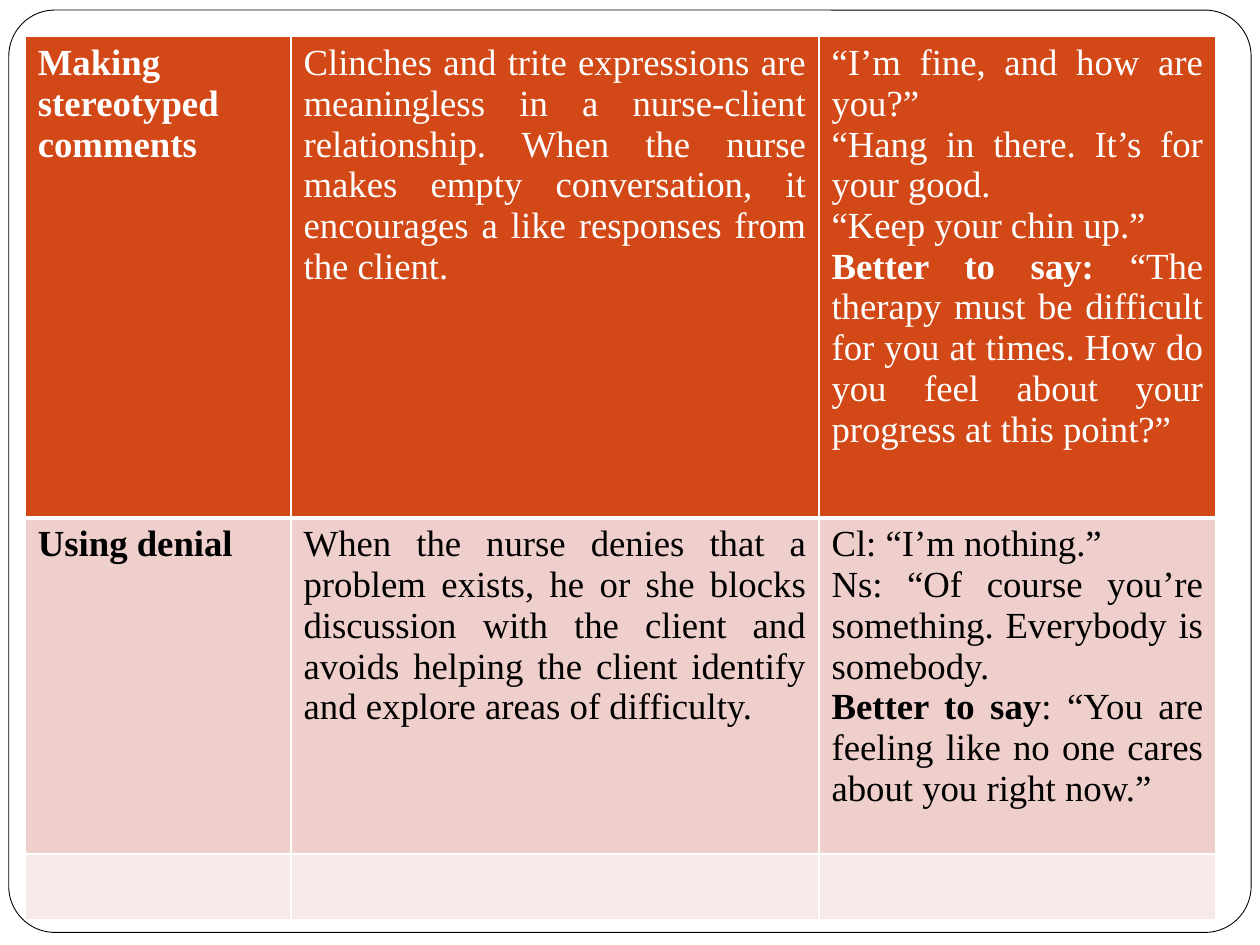
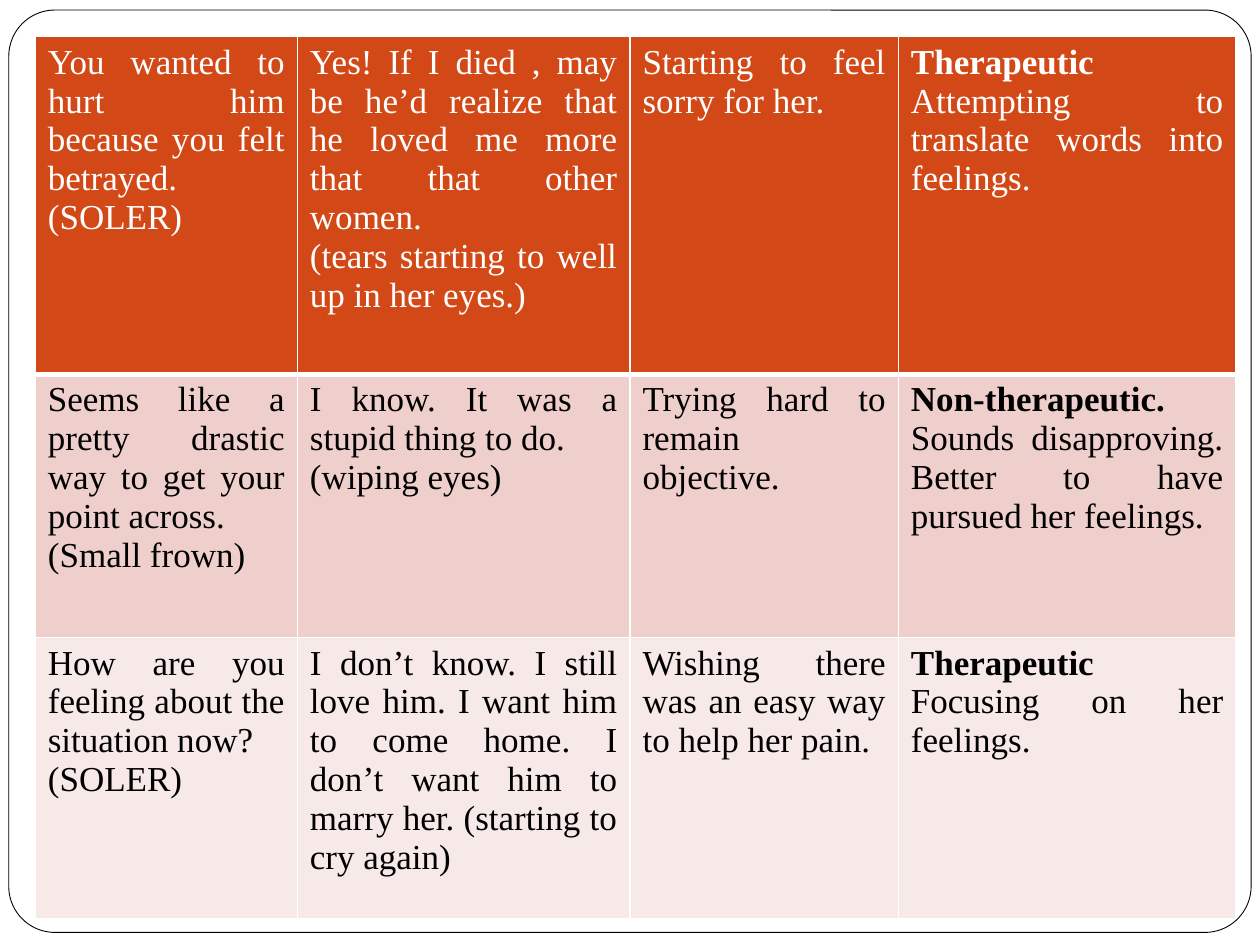
from dataclasses import dataclass

from lxml.etree import SubElement
from pptx import Presentation
from pptx.dml.color import RGBColor
from pptx.enum.shapes import MSO_SHAPE
from pptx.enum.text import PP_ALIGN
from pptx.oxml.ns import qn
from pptx.util import Inches, Pt


@dataclass(frozen=True)
class Theme:
    font: str = "Times New Roman"
    paper: str = "FFFFFF"
    ink: str = "000000"
    header_fill: str = "D34817"
    band_fills: tuple = ("EFCFCC", "F7E9E8")
    techniques_size: int = 21
    dialogue_size: int = 20
    frame_line: float = 0.5
    grid_line: int = 1
    header_line: int = 3


TABLE_TOP = 0.29
BOLD_MARK = "**"

# Each cell is text whose lines are paragraphs; ** switches bold on and off.
TECHNIQUES = [
    [
        "**Making stereotyped comments**",
        "Clinches and trite expressions are meaningless in a nurse-client relationship. "
        "When the nurse makes empty conversation, it encourages a like responses from the client.",
        "“I’m fine, and how are you?”\n"
        "“Hang in there. It’s for your good.\n"
        "“Keep your chin up.”\n"
        "**Better to say: **“The therapy must be difficult for you at times. "
        "How do you feel about your progress at this point?”",
    ],
    [
        "**Using denial**",
        "When the nurse denies that a problem exists, he or she blocks discussion with the "
        "client and avoids helping the client identify and explore areas of difficulty.",
        "Cl: “I’m nothing.”\n"
        "Ns: “Of course you’re something. Everybody is somebody.\n"
        "**Better to say**: “You are feeling like no one cares about you right now.”",
    ],
    ["", "", ""],
]

DIALOGUE = [
    [
        "You wanted to hurt him because you felt betrayed. (SOLER)",
        "Yes! If I died , may be he’d realize that he loved me more that that other women.\n"
        "(tears starting to well up in her eyes.)",
        "Starting to feel sorry for her.",
        "**Therapeutic**\nAttempting to translate words into feelings.",
    ],
    [
        "Seems like a pretty drastic way to get your point across.\n(Small frown)",
        "I know. It was a stupid thing to do.\n(wiping eyes)",
        "Trying hard to remain objective.",
        "**Non-therapeutic.**\nSounds disapproving. Better to have pursued her feelings.",
    ],
    [
        "How are you feeling about the situation now?\n(SOLER)",
        "I don’t know. I still love him. I want him to come home. "
        "I don’t want him to marry her. (starting to cry again)",
        "Wishing there was an easy way to help her pain.",
        "**Therapeutic**\nFocusing on her feelings.",
    ],
]


def write_text(text_frame, text, *, size, color, font, align=PP_ALIGN.JUSTIFY):
    for index, line in enumerate(text.split("\n")):
        paragraph = text_frame.paragraphs[0] if index == 0 else text_frame.add_paragraph()
        paragraph.alignment = align
        for part_index, part in enumerate(line.split(BOLD_MARK)):
            if not part:
                continue
            run = paragraph.add_run()
            run.text = part
            run.font.name = font
            run.font.size = Pt(size)
            run.font.bold = part_index % 2 == 1
            run.font.color.rgb = RGBColor.from_string(color)


def set_borders(cell, color, widths):
    """Draw the borders; widths are points for left, right, top and bottom."""
    properties = cell._tc.get_or_add_tcPr()
    for index, (side, width) in enumerate(zip("LRTB", widths)):
        line = SubElement(properties, qn(f"a:ln{side}"), w=str(Pt(width)))
        fill = SubElement(line, qn("a:solidFill"))
        SubElement(fill, qn("a:srgbClr"), val=color)
        properties.insert(index, line)


class Deck:
    def __init__(self, theme):
        self.theme = theme
        self.presentation = Presentation()
        self.presentation.slide_width = Inches(10)
        self.presentation.slide_height = Inches(7.5)
        self.slide = None

    def new_slide(self):
        self.slide = self.presentation.slides.add_slide(self.presentation.slide_layouts[6])
        self.add_frame()

    def add_frame(self):
        shape = self.slide.shapes.add_shape(
            MSO_SHAPE.ROUNDED_RECTANGLE, Inches(0.07), Inches(0.08), Inches(9.86), Inches(7.32)
        )
        shape.adjustments[0] = 0.05
        shape.shadow.inherit = False
        shape.fill.solid()
        shape.fill.fore_color.rgb = RGBColor.from_string(self.theme.paper)
        shape.line.color.rgb = RGBColor.from_string(self.theme.ink)
        shape.line.width = Pt(self.theme.frame_line)

    def add_table(self, rows, left, column_widths, row_heights, size):
        table = self.slide.shapes.add_table(
            len(rows), len(column_widths), Inches(left), Inches(TABLE_TOP),
            Inches(sum(column_widths)), Inches(sum(row_heights)),
        ).table
        for column, width in zip(table.columns, column_widths):
            column.width = Inches(width)
        for row, height in zip(table.rows, row_heights):
            row.height = Inches(height)
        for row_index, texts in enumerate(rows):
            for column_index, text in enumerate(texts):
                self.format_cell(table.cell(row_index, column_index), row_index, text, size)

    def format_cell(self, cell, row_index, text, size):
        theme = self.theme
        is_header = row_index == 0
        bands = theme.band_fills
        fill = theme.header_fill if is_header else bands[(row_index - 1) % len(bands)]
        cell.fill.solid()
        cell.fill.fore_color.rgb = RGBColor.from_string(fill)
        thin, thick = theme.grid_line, theme.header_line
        top = thick if row_index == 1 else thin
        bottom = thick if is_header else thin
        set_borders(cell, theme.paper, (thin, thin, top, bottom))
        color = theme.paper if is_header else theme.ink
        write_text(cell.text_frame, text, size=size, color=color, font=theme.font)


def main():
    theme = Theme()
    deck = Deck(theme)

    deck.new_slide()
    deck.add_table(TECHNIQUES, 0.2, (2.11, 4.19, 3.15), (3.82, 2.67, 0.52),
                   theme.techniques_size)

    deck.new_slide()
    deck.add_table(DIALOGUE, 0.28, (2.08, 2.64, 2.13, 2.68), (2.68, 2.09, 2.23),
                   theme.dialogue_size)

    deck.presentation.save("out.pptx")


if __name__ == "__main__":
    main()
